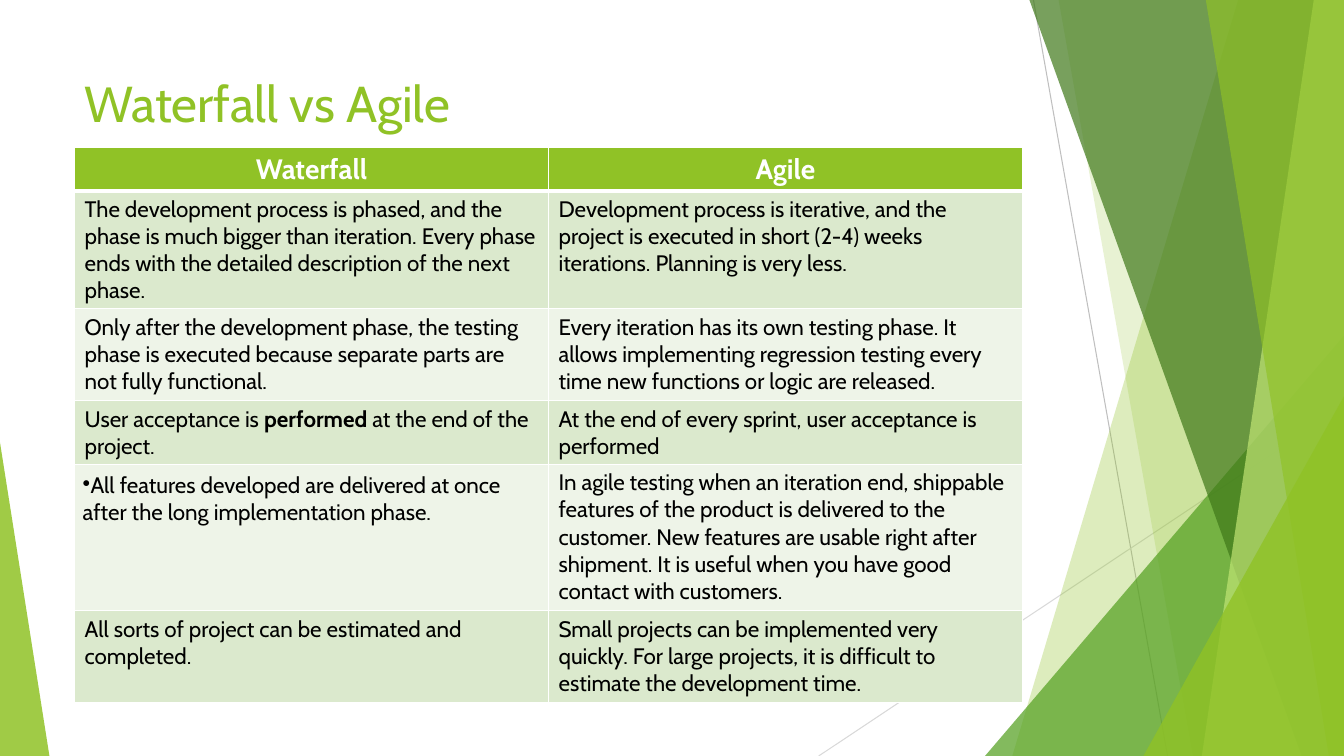
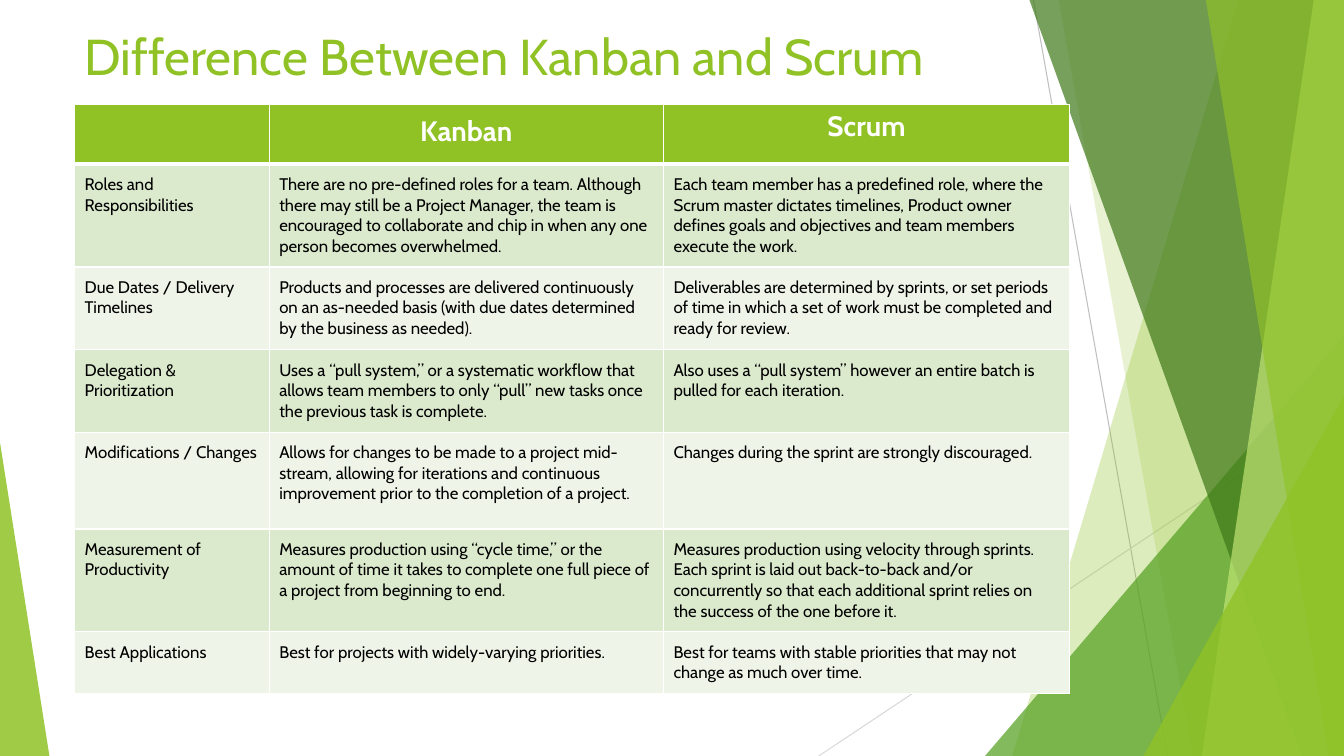
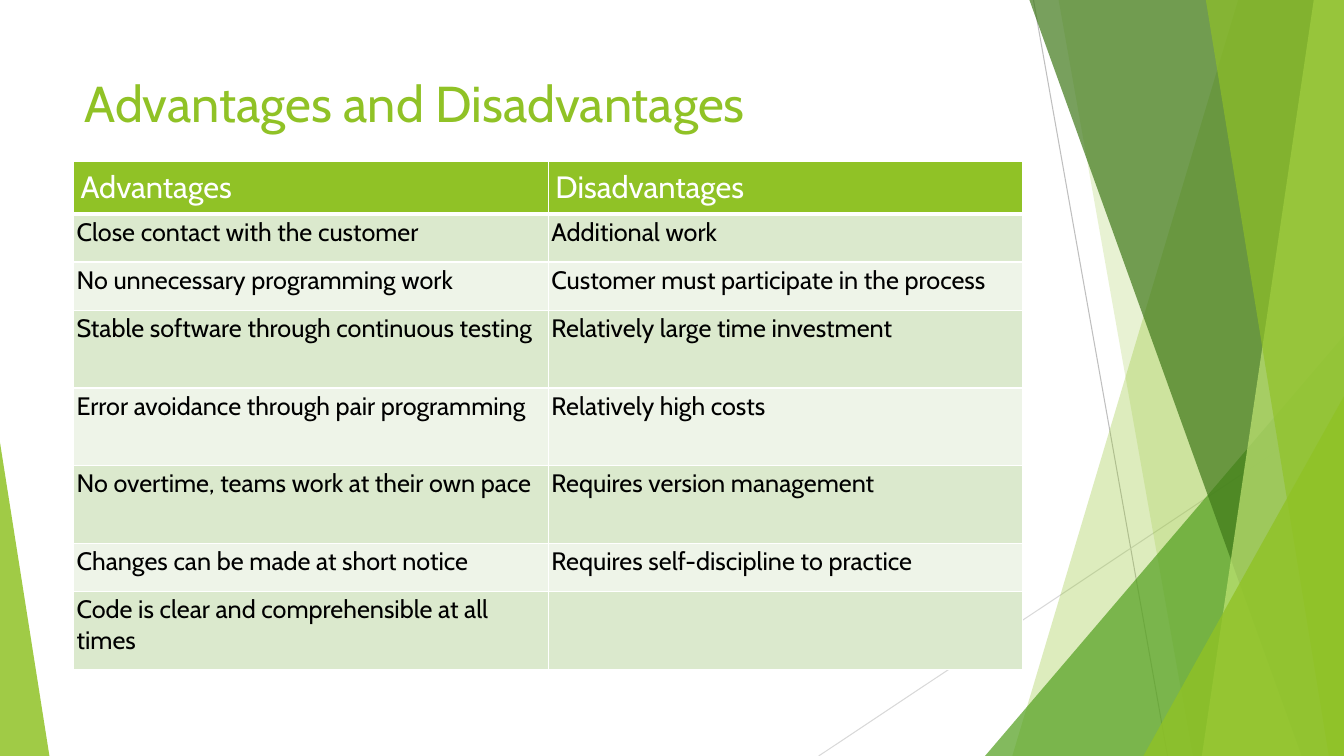
import dataclasses
import typing

import pptx
import pptx.dml.color
import pptx.enum.shapes
import pptx.enum.text
import pptx.oxml.ns
import pptx.presentation
import pptx.shapes.autoshape
import pptx.slide
import pptx.table
import pptx.text.text
import pptx.util
from lxml import etree

Inches = pptx.util.Inches
Pt = pptx.util.Pt
qn = pptx.oxml.ns.qn
Anchor = pptx.enum.text.MSO_ANCHOR
Align = pptx.enum.text.PP_ALIGN


@dataclasses.dataclass(frozen=True)
class Theme:
    font: str = "Cabin"
    lime: str = "90C226"
    green: str = "54A021"
    forest: str = "3F7819"
    pale_lime: str = "C0E474"
    white: str = "FFFFFF"
    black: str = "000000"
    bands: tuple[str, str] = ("DBE9CD", "EEF4E8")
    steep_line: str = "BFBFBF"
    shallow_line: str = "D9D9D9"
    title_size: float = 36
    hairline: float = 0.75
    grid_line: float = 1
    header_line: float = 3


THEME = Theme()
WIDTH, HEIGHT = 13.33, 7.5
LEFT = 0.74


class Ray(typing.NamedTuple):
    start: tuple[float, float]
    end: tuple[float, float]
    colour: str


class Panel(typing.NamedTuple):
    top_x: float
    bottom_x: float
    colour: str
    opacity: int


class Wedge(typing.NamedTuple):
    left: float
    top: float
    width: float
    apex: float
    colour: str
    opacity: int


RAYS = (
    Ray((10.25, 0), (11.58, HEIGHT), THEME.steep_line),
    Ray((WIDTH, 4.03), (8.12, HEIGHT), THEME.shallow_line),
)
FACETS: tuple[Panel | Wedge, ...] = (
    Panel(12.28, 10.04, THEME.lime, 30),
    Panel(10.5, 11.83, THEME.lime, 20),
    Wedge(9.77, 3.33, 3.56, 1, THEME.green, 72),
    Panel(10.21, 12.91, THEME.forest, 70),
    Panel(13.03, 11.92, THEME.pale_lime, 70),
    Panel(11.96, 13.18, THEME.lime, 65),
    Wedge(11.34, 3.93, 1.99, 1, THEME.lime, 80),
    Wedge(0, 4.39, 0.49, 0, THEME.lime, 85),
)


@dataclasses.dataclass(frozen=True)
class Entry:
    text: str
    emphasis: str = ""
    bulleted: bool = False
    inset: tuple[float, float] | None = None


@dataclasses.dataclass(frozen=True)
class RowStyle:
    size: float
    colour: str
    inset: tuple[float, float]
    bold: bool = False
    align: Align = Align.LEFT
    anchor: Anchor = Anchor.TOP


@dataclasses.dataclass(frozen=True)
class Comparison:
    title: str
    title_top: float
    title_height: float
    left: float
    top: float
    columns: tuple[float, ...]
    heights: tuple[float, ...]
    header: RowStyle
    body: RowStyle
    rows: tuple[tuple[str | Entry, ...], ...]


COMPARISONS = (
    Comparison(
        "Waterfall vs Agile", 0.67, 0.9, LEFT, 1.46,
        (4.7, 4.7),
        (0.43, 1.17, 0.91, 0.63, 1.45, 0.91),
        RowStyle(20, THEME.white, (0.1, 0.05), True, Align.CENTER),
        RowStyle(16, THEME.black, (0.1, 0.05)),
        (
            ("Waterfall", "Agile"),
            ("The development process is phased, and the phase is much bigger than iteration. "
             "Every phase ends with the detailed description of the next phase.",
             "Development process is iterative, and the project is executed in short (2-4) weeks "
             "iterations. Planning is very less."),
            ("Only after the development phase, the testing phase is executed because separate "
             "parts are not fully functional.",
             "Every iteration has its own testing phase. It allows implementing regression "
             "testing every time new functions or logic are released."),
            (Entry("User acceptance is performed at the end of the project.", emphasis="performed"),
             "At the end of every sprint, user acceptance is performed"),
            (Entry("All features developed are delivered at once after the long implementation "
                   "phase.", bulleted=True, inset=(0.08, 0.08)),
             "In agile testing when an iteration end, shippable features of the product is "
             "delivered to the customer. New features are usable right after shipment. It is "
             "useful when you have good contact with customers."),
            ("All sorts of project can be estimated and completed.",
             "Small projects can be implemented very quickly. For large projects, it is difficult "
             "to estimate the development time."),
        ),
    ),
    Comparison(
        "Difference Between Kanban and Scrum", 0.2, 0.72, LEFT, 1.04,
        (1.93, 3.91, 4.03),
        (0.59, 1.02, 0.82, 0.82, 0.96, 1.02, 0.61),
        RowStyle(20, THEME.white, (0.1, 0.1), True, Align.CENTER),
        RowStyle(12, THEME.black, (0.1, 0.1)),
        (
            ("", "Kanban", Entry("Scrum", inset=(0.1, 0.05))),
            ("Roles and Responsibilities",
             "There are no pre-defined roles for a team. Although there may still be a Project "
             "Manager, the team is encouraged to collaborate and chip in when any one person "
             "becomes overwhelmed.",
             "Each team member has a predefined role, where the Scrum master dictates timelines, "
             "Product owner defines goals and objectives and team members execute the work."),
            ("Due Dates / Delivery Timelines",
             "Products and processes are delivered continuously on an as-needed basis (with due "
             "dates determined by the business as needed).",
             "Deliverables are determined by sprints, or set periods of time in which a set of "
             "work must be completed and ready for review."),
            ("Delegation & Prioritization",
             "Uses a “pull system,” or a systematic workflow that allows team members to only "
             "“pull” new tasks once the previous task is complete.",
             "Also uses a “pull system” however an entire batch is pulled for each iteration."),
            ("Modifications / Changes",
             "Allows for changes to be made to a project mid-stream, allowing for iterations and "
             "continuous improvement prior to the completion of a project.",
             "Changes during the sprint are strongly discouraged."),
            ("Measurement of Productivity",
             "Measures production using “cycle time,” or the amount of time it takes to complete "
             "one full piece of a project from beginning to end.",
             "Measures production using velocity through sprints. Each sprint is laid out "
             "back-to-back and/or concurrently so that each additional sprint relies on the "
             "success of the one before it."),
            ("Best Applications",
             "Best for projects with widely-varying priorities.",
             "Best for teams with stable priorities that may not change as much over time."),
        ),
    ),
    Comparison(
        "Advantages and Disadvantages", 0.67, 0.84, 0.73, 1.6,
        (4.71, 4.7),
        (0.52, 0.48, 0.48, 0.77, 0.77, 0.77, 0.48, 0.77),
        RowStyle(22, THEME.white, (0.07, 0.07), anchor=Anchor.BOTTOM),
        RowStyle(18, THEME.black, (0.03, 0.03)),
        (
            ("Advantages", "Disadvantages"),
            ("Close contact with the customer", "Additional work"),
            ("No unnecessary programming work", "Customer must participate in the process"),
            ("Stable software through continuous testing", "Relatively large time investment"),
            ("Error avoidance through pair programming", "Relatively high costs"),
            ("No overtime, teams work at their own pace", "Requires version management"),
            ("Changes can be made at short notice", "Requires self-discipline to practice"),
            ("Code is clear and comprehensible at all times", ""),
        ),
    ),
)


def rgb(colour: str) -> pptx.dml.color.RGBColor:
    return pptx.dml.color.RGBColor.from_string(colour)


def style_font(paragraph: pptx.text.text._Paragraph, size: float, colour: str, bold: bool) -> None:
    font = paragraph.font
    font.name = THEME.font
    font.size = Pt(size)
    font.bold = bold
    font.color.rgb = rgb(colour)


def draw_ray(slide: pptx.slide.Slide, ray: Ray) -> None:
    line = slide.shapes.add_connector(
        pptx.enum.shapes.MSO_CONNECTOR.STRAIGHT, *map(Inches, ray.start + ray.end))
    line.line.color.rgb = rgb(ray.colour)
    line.line.width = Pt(THEME.hairline)
    etree.SubElement(line.element.spPr, qn("a:effectLst"))


def draw_panel(slide: pptx.slide.Slide, panel: Panel) -> pptx.shapes.autoshape.Shape:
    outline = slide.shapes.build_freeform(Inches(panel.top_x), 0)
    corners = ((WIDTH, 0), (WIDTH, HEIGHT), (panel.bottom_x, HEIGHT))
    outline.add_line_segments([(Inches(x), Inches(y)) for x, y in corners], close=True)
    return outline.convert_to_shape()


def draw_wedge(slide: pptx.slide.Slide, wedge: Wedge) -> pptx.shapes.autoshape.Shape:
    triangle = slide.shapes.add_shape(
        pptx.enum.shapes.MSO_SHAPE.ISOSCELES_TRIANGLE,
        Inches(wedge.left), Inches(wedge.top), Inches(wedge.width), Inches(HEIGHT - wedge.top))
    triangle.adjustments[0] = wedge.apex
    return triangle


def draw_backdrop(slide: pptx.slide.Slide) -> None:
    for ray in RAYS:
        draw_ray(slide, ray)
    for facet in FACETS:
        shape = draw_panel(slide, facet) if isinstance(facet, Panel) else draw_wedge(slide, facet)
        shape.shadow.inherit = False
        shape.line.fill.background()
        shape.fill.solid()
        shape.fill.fore_color.rgb = rgb(facet.colour)
        tint = shape.element.spPr.find(f"{qn('a:solidFill')}/{qn('a:srgbClr')}")
        etree.SubElement(tint, qn("a:alpha"), val=str(facet.opacity * 1000))


def draw_title(slide: pptx.slide.Slide, comparison: Comparison) -> None:
    frame = slide.shapes.add_textbox(
        Inches(LEFT), Inches(comparison.title_top),
        Inches(9.4), Inches(comparison.title_height)).text_frame
    frame.word_wrap = True
    frame.vertical_anchor = Anchor.TOP
    heading = frame.paragraphs[0]
    heading.text = comparison.title
    style_font(heading, THEME.title_size, THEME.lime, False)


def set_borders(cell: pptx.table._Cell, top: float, bottom: float) -> None:
    properties = cell._tc.get_or_add_tcPr()
    widths = {"lnL": THEME.grid_line, "lnR": THEME.grid_line, "lnT": top, "lnB": bottom}
    for side, width in widths.items():
        border = etree.SubElement(properties, qn(f"a:{side}"), w=str(Pt(width)))
        fill = etree.SubElement(border, qn("a:solidFill"))
        etree.SubElement(fill, qn("a:srgbClr"), val=THEME.white)


def fill_cell(cell: pptx.table._Cell, entry: Entry, style: RowStyle, colour: str) -> None:
    cell.fill.solid()
    cell.fill.fore_color.rgb = rgb(colour)
    side, vertical = entry.inset or style.inset
    cell.margin_left = cell.margin_right = Inches(side)
    cell.margin_top = cell.margin_bottom = Inches(vertical)
    cell.vertical_anchor = style.anchor
    paragraph = cell.text_frame.paragraphs[0]
    paragraph.alignment = style.align
    parts = entry.text.partition(entry.emphasis) if entry.emphasis else (entry.text,)
    for part in filter(None, parts):
        run = paragraph.add_run()
        run.text = part
        if part == entry.emphasis:
            run.font.bold = True
    if entry.bulleted:
        properties = paragraph._p.get_or_add_pPr()
        properties.set("marL", "0")
        properties.set("indent", "0")
        etree.SubElement(properties, qn("a:buChar"), char="•")
    style_font(paragraph, style.size, style.colour, style.bold)


def draw_table(slide: pptx.slide.Slide, comparison: Comparison) -> None:
    table = slide.shapes.add_table(
        len(comparison.rows), len(comparison.columns),
        Inches(comparison.left), Inches(comparison.top),
        Inches(sum(comparison.columns)), Inches(sum(comparison.heights))).table
    for column, width in zip(table.columns, comparison.columns):
        column.width = Inches(width)
    for index, (row, height) in enumerate(zip(table.rows, comparison.heights)):
        row.height = Inches(height)
        is_header = index == 0
        style = comparison.header if is_header else comparison.body
        colour = THEME.lime if is_header else THEME.bands[(index - 1) % 2]
        top = THEME.header_line if index == 1 else THEME.grid_line
        bottom = THEME.header_line if is_header else THEME.grid_line
        for cell, content in zip(row.cells, comparison.rows[index]):
            entry = content if isinstance(content, Entry) else Entry(content)
            set_borders(cell, top, bottom)
            fill_cell(cell, entry, style, colour)


def main() -> None:
    deck = pptx.Presentation()
    deck.slide_width = Inches(WIDTH)
    deck.slide_height = Inches(HEIGHT)
    for comparison in COMPARISONS:
        slide = deck.slides.add_slide(deck.slide_layouts[6])
        draw_backdrop(slide)
        draw_title(slide, comparison)
        draw_table(slide, comparison)
    deck.save("out.pptx")


if __name__ == "__main__":
    main()
